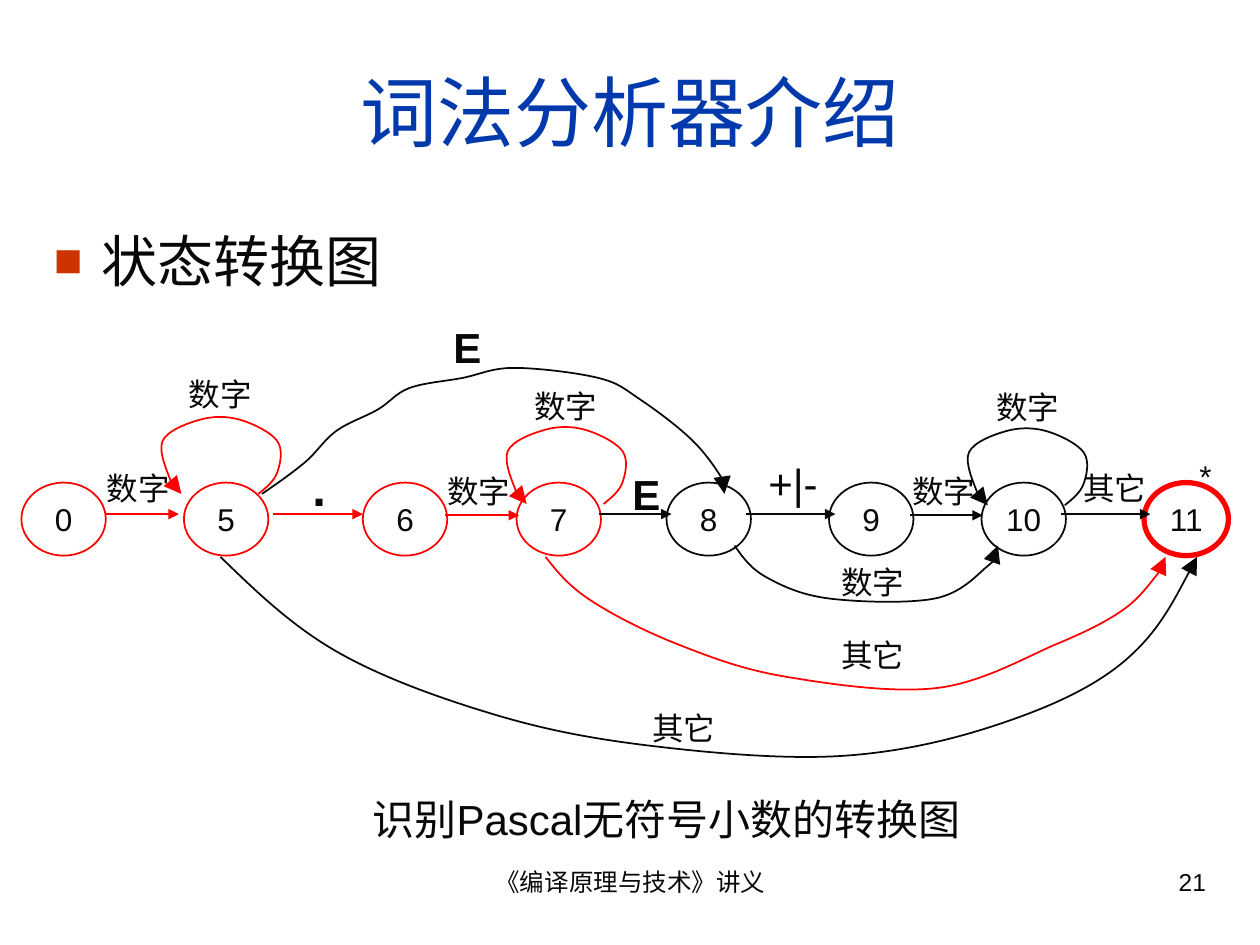
"""Build the slide with the transition diagram for unsigned decimals."""
from dataclasses import dataclass

from lxml.etree import SubElement
from pptx import Presentation
from pptx.dml.color import RGBColor
from pptx.enum.shapes import MSO_CONNECTOR, MSO_SHAPE
from pptx.enum.text import MSO_ANCHOR, MSO_AUTO_SIZE, PP_ALIGN
from pptx.oxml.ns import qn
from pptx.util import Inches, Pt


@dataclass(frozen=True)
class Theme:
    face: str = "Arial"
    ink: RGBColor = RGBColor.from_string("080808")
    red: RGBColor = RGBColor.from_string("FF0000")
    blue: RGBColor = RGBColor.from_string("0039AC")
    mark: str = "CC3300"
    title: int = 44
    body: int = 32
    dot: int = 28
    large: int = 24
    label: int = 18
    foot: int = 14


theme = Theme()


def write(shape, text, size, align=PP_ALIGN.LEFT, color=theme.ink, bold=False, before=0, **frame):
    for key, val in frame.items():
        setattr(shape.text_frame, key, val)
    para = shape.text_frame.paragraphs[0]
    para.text = text
    para.alignment = align
    para.space_before = Pt(before)
    font = para.runs[0].font
    for key, val in {"name": theme.face, "size": Pt(size), "bold": bold}.items():
        setattr(font, key, val)
    font.color.rgb = color
    return para


def ink_line(shape, color, tip):
    shape.line.color.rgb = color
    shape.line.width = Pt(1)
    props = shape._element.spPr
    if props.find(qn("a:effectLst")) is None:
        SubElement(props, qn("a:effectLst"))
    SubElement(props.find(qn("a:ln")), qn("a:tailEnd"), type="triangle", w=tip, len=tip)


deck = Presentation()
deck.slide_width, deck.slide_height = Inches(10), Inches(7.5)
slide = deck.slides.add_slide(deck.slide_layouts[5])
shapes = slide.shapes

title = shapes.title
place = {"left": 0.33, "top": 0.25, "width": 9.34, "height": 1.25}
for key, val in place.items():
    setattr(title, key, Inches(val))
write(title, "词法分析器介绍", theme.title, PP_ALIGN.CENTER, theme.blue,
      vertical_anchor=MSO_ANCHOR.MIDDLE)

body = shapes.add_textbox(Inches(0.33), Inches(1.75), Inches(9.34), Inches(0.83))
para = write(body, "状态转换图", theme.body, before=8, word_wrap=True)
props = para._p.get_or_add_pPr()
props.set("marL", str(Inches(0.38)))
props.set("indent", str(-Inches(0.38)))
SubElement(SubElement(props, qn("a:buClr")), qn("a:srgbClr"), val=theme.mark)
SubElement(props, qn("a:buSzPct"), val="85000")
SubElement(props, qn("a:buFont"), typeface=theme.face)
SubElement(props, qn("a:buChar"), char="■")

feet = [
    ("《编译原理与技术》讲义", 3.42, 3.17, PP_ALIGN.CENTER),
    ("21", 7.17, 2.5, PP_ALIGN.RIGHT),
]
for text, left, width, align in feet:
    box = shapes.add_textbox(Inches(left), Inches(6.83), Inches(width), Inches(0.52))
    write(box, text, theme.foot, align, word_wrap=True)

states = [
    ("0", 0.17, theme.red, 1), ("5", 1.46, theme.red, 1),
    ("6", 2.88, theme.red, 1), ("7", 4.1, theme.red, 1),
    ("8", 5.29, theme.ink, 1), ("9", 6.58, theme.ink, 1),
    ("10", 7.79, theme.ink, 1), ("11", 9.08, theme.red, 3),
]
for name, left, color, weight in states:
    state = shapes.add_shape(MSO_SHAPE.OVAL, Inches(left), Inches(3.83), Inches(0.67), Inches(0.58))
    state.shadow.inherit = False
    state.fill.background()
    state.line.color.rgb = color
    state.line.width = Pt(weight)
    write(state, name, theme.label, PP_ALIGN.CENTER,
          word_wrap=False, vertical_anchor=MSO_ANCHOR.MIDDLE)

moves = [
    (0.83, 1.42, 4.08, theme.red), (2.17, 2.88, 4.08, theme.red),
    (3.53, 4.12, 4.09, theme.red), (4.75, 5.33, 4.08, theme.ink),
    (5.92, 6.63, 4.08, theme.ink), (7.22, 7.8, 4.09, theme.ink),
    (8.42, 9.13, 4.08, theme.ink),
]
for start, end, level, color in moves:
    move = shapes.add_connector(
        MSO_CONNECTOR.STRAIGHT, Inches(start), Inches(level), Inches(end), Inches(level))
    ink_line(move, color, "med")

loop = [(2.05, 3.92), (2.2, 3.75), (2.2, 3.5), (1.9, 3.33),
        (1.59, 3.33), (1.29, 3.5), (1.36, 3.83), (1.44, 3.92)]
shifts = [(0, 0, theme.red), (2.74, 0.08, theme.red), (6.4, 0.09, theme.ink)]
curves = [([(x + right, y + down) for x, y in loop], color) for right, down, color in shifts]
curves += [
    ([(2.08, 3.92), (2.42, 3.67), (2.67, 3.42), (3, 3.25), (3.25, 3.08), (3.67, 3),
      (4.08, 2.92), (4.75, 3), (5.08, 3.17), (5.5, 3.5), (5.75, 3.83), (5.75, 3.92)], theme.ink),
    ([(5.83, 4.33), (6.08, 4.58), (6.58, 4.75), (7.42, 4.75), (7.83, 4.5), (7.92, 4.33)],
     theme.ink),
    ([(4.33, 4.42), (4.68, 4.76), (5.37, 5.11), (6.23, 5.37), (7.44, 5.46), (8.39, 5.11),
      (8.9, 4.85), (9.16, 4.59), (9.25, 4.42)], theme.red),
    ([(1.75, 4.42), (2.67, 5.17), (3.92, 5.67), (5.17, 5.92), (6.67, 6), (7.92, 5.75),
      (8.92, 5.25), (9.5, 4.42)], theme.ink),
]
for knots, color in curves:
    knots = [(Inches(x), Inches(y)) for x, y in knots]
    pen = shapes.build_freeform(*knots[0])
    pen.add_line_segments(knots[1:], close=False)
    curve = pen.convert_to_shape()
    curve.shadow.inherit = False
    curve.fill.background()
    ink_line(curve, color, "lg")
    spots = [(int(p.get("x")), int(p.get("y"))) for p in curve._element.iter(qn("a:pt"))]
    bends = [[(c - a) / 6 for a, c in zip(prior, after)]
             for prior, after in zip(spots, spots[2:])]
    lines = list(curve._element.iter(qn("a:lnTo")))
    last = len(lines) - 1
    for i, line in enumerate(lines):
        start, end = spots[i], spots[i + 1]
        first = [p + d for p, d in zip(start, bends[i - 1])] if i else None
        second = [p - d for p, d in zip(end, bends[i])] if i < last else None
        first = first or [(p + q) / 2 for p, q in zip(start, second)]
        second = second or [(p + q) / 2 for p, q in zip(first, end)]
        line.clear()
        arc = line.getparent().makeelement(qn("a:cubicBezTo"))
        for x, y in (first, second, end):
            SubElement(arc, qn("a:pt"), x=str(round(x)), y=str(round(y)))
        line.getparent().replace(line, arc)

labels = [
    ("数字", 0.75, 3.67, 0.92, theme.label, False), ("数字", 1.4, 2.93, 0.92, theme.label, False),
    ("数字", 3.45, 3.7, 0.92, theme.label, False), ("数字", 4.14, 3.02, 0.92, theme.label, False),
    ("数字", 7.14, 3.7, 0.92, theme.label, False), ("数字", 7.81, 3.03, 0.92, theme.label, False),
    ("数字", 6.58, 4.42, 0.92, theme.label, False), ("其它", 8.5, 3.67, 0.92, theme.label, False),
    ("其它", 6.58, 5, 0.92, theme.label, False), ("其它", 5.08, 5.58, 0.92, theme.label, False),
    ("*", 9.42, 3.58, 0.42, theme.label, False), (".", 2.38, 3.58, 0.75, theme.dot, True),
    ("E", 3.5, 2.5, 0.75, theme.large, True), ("E", 4.92, 3.67, 0.75, theme.large, True),
    ("+|-", 6, 3.58, 0.67, theme.large, False),
    ("识别Pascal无符号小数的转换图", 2.75, 6.25, 5.08, theme.large, False),
]
tall = {theme.label: 0.4, theme.large: 0.5, theme.dot: 0.57}
for text, left, top, width, size, bold in labels:
    box = shapes.add_textbox(Inches(left), Inches(top), Inches(width), Inches(tall[size]))
    align = PP_ALIGN.CENTER if width > 1 else PP_ALIGN.LEFT
    write(box, text, size, align, bold=bold, before=size * 0.625,
          word_wrap=True, auto_size=MSO_AUTO_SIZE.SHAPE_TO_FIT_TEXT)

deck.save("out.pptx")
